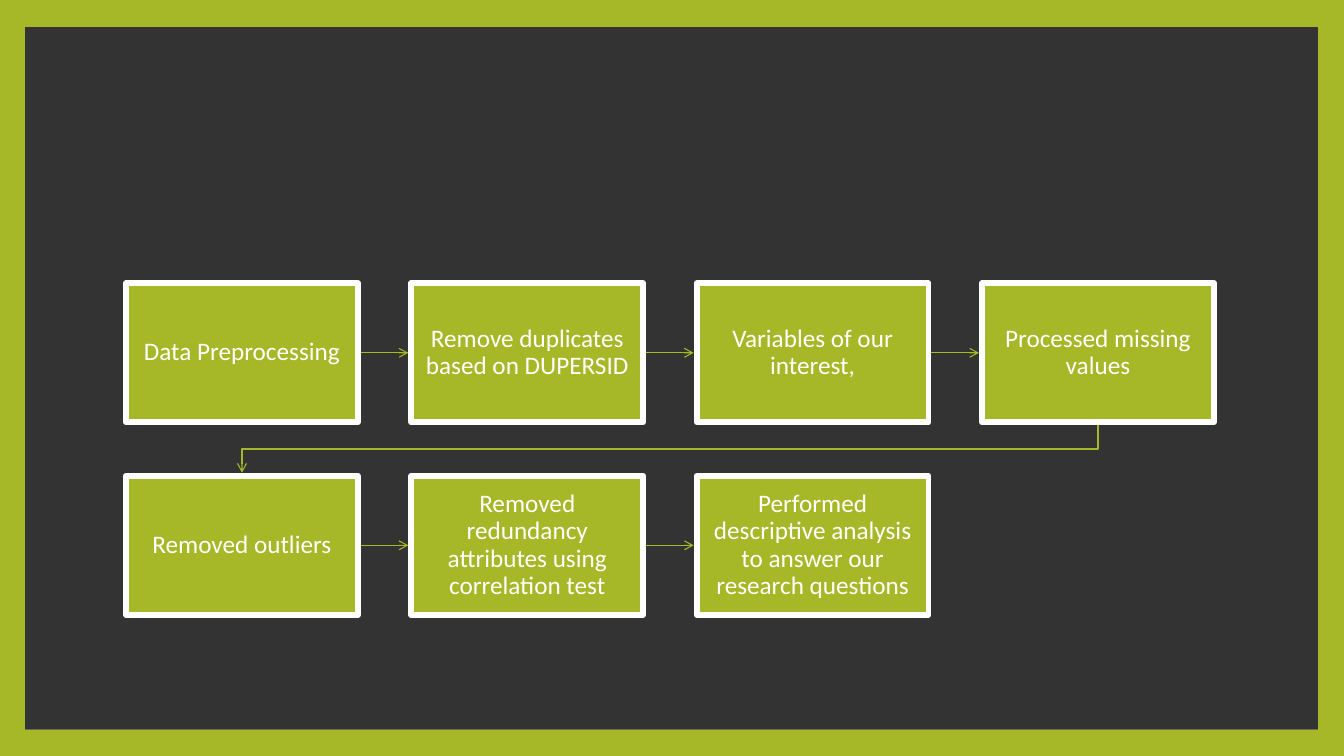
from lxml.etree import SubElement
from pptx import Presentation
from pptx.dml.color import RGBColor
from pptx.enum.shapes import MSO_CONNECTOR, MSO_SHAPE
from pptx.enum.text import MSO_ANCHOR, PP_ALIGN
from pptx.oxml.ns import qn
from pptx.util import Inches, Pt

LIME, WHITE, BLACK = "A6B727", "FFFFFF", "000000"
LEFT, TOP, WIDTH, HEIGHT = 1.25, 2.81, 2.3, 1.38
COLUMN_PITCH, ROW_PITCH, COLUMNS = 2.83, 1.91, 4
ARROW_LENGTH = 0.5
PANEL = (0.25, 0.27, 12.82, 6.97)
STEPS = [
    "Data Preprocessing",
    "Remove duplicates based on DUPERSID",
    "Variables of our interest,",
    "Processed missing values",
    "Removed outliers",
    "Removed redundancy attributes using correlation test",
    "Performed descriptive analysis to answer our research questions",
]


def paint(color_format, hex_color):
    color_format.rgb = RGBColor.from_string(hex_color)


def apply(target, values):
    for name, value in values.items():
        setattr(target, name, value)


class FlowSlide:
    frame_format = {
        "word_wrap": True,
        "vertical_anchor": MSO_ANCHOR.MIDDLE,
        "margin_left": Inches(0.11),
        "margin_right": Inches(0.11),
        "margin_top": Inches(0.12),
        "margin_bottom": Inches(0.12),
    }
    paragraph_format = {"alignment": PP_ALIGN.CENTER, "line_spacing": 0.9}
    font_format = {"name": "Calibri", "size": Pt(18)}

    def __init__(self, deck):
        self.slide = deck.slides.add_slide(deck.slide_layouts[6])
        self.shapes = self.slide.shapes
        background = self.slide.background.fill
        background.solid()
        paint(background.fore_color, LIME)

    def rectangle(self, place, color):
        shape = self.shapes.add_shape(MSO_SHAPE.RECTANGLE, *map(Inches, place))
        shape.shadow.inherit = False
        shape.fill.solid()
        paint(shape.fill.fore_color, color)
        shape.line.fill.background()
        return shape

    def veil(self, place, color, opacity):
        shape = self.rectangle(place, color)
        rgb = shape._element.spPr.find(qn("a:solidFill"))[0]
        SubElement(rgb, qn("a:alpha"), val=str(opacity * 1000))

    def step(self, x, y, wording):
        box = self.rectangle((x, y, WIDTH, HEIGHT), LIME)
        paint(box.line.color, WHITE)
        box.line.width = Pt(4.25)
        apply(box.text_frame, self.frame_format)
        paragraph = box.text_frame.paragraphs[0]
        paragraph.text = wording
        apply(paragraph, self.paragraph_format)
        apply(paragraph.font, self.font_format)
        paint(paragraph.font.color, WHITE)
        return box

    def arrow_style(self, arrow):
        paint(arrow.line.color, LIME)
        arrow.line.width = Pt(0.79)
        SubElement(arrow.line._get_or_add_ln(), qn("a:tailEnd"), type="arrow")

    def arrow_right(self, x, y, source):
        arrow = self.shapes.add_connector(
            MSO_CONNECTOR.STRAIGHT,
            *map(Inches, (x, y, x + ARROW_LENGTH, y)),
        )
        arrow.begin_connect(source, 3)
        self.arrow_style(arrow)
        SubElement(arrow._element.spPr, qn("a:effectLst"))
        source._element.addprevious(arrow._element)

    def arrow_to_next_row(self, points, source):
        start, *others = [tuple(map(Inches, point)) for point in points]
        builder = self.shapes.build_freeform(*start)
        builder.add_line_segments(others, close=False)
        arrow = builder.convert_to_shape()
        arrow.fill.background()
        self.arrow_style(arrow)
        arrow.shadow.inherit = False
        source._element.addprevious(arrow._element)


def main():
    deck = Presentation()
    deck.slide_width, deck.slide_height = Inches(13.33), Inches(7.5)
    flow = FlowSlide(deck)
    flow.rectangle(PANEL, WHITE)
    flow.veil(PANEL, BLACK, 80)

    for index, wording in enumerate(STEPS):
        row, column = divmod(index, COLUMNS)
        x, y = LEFT + column * COLUMN_PITCH, TOP + row * ROW_PITCH
        step = flow.step(x, y, wording)
        if index == len(STEPS) - 1:
            continue
        if column < COLUMNS - 1:
            flow.arrow_right(x + WIDTH, y + HEIGHT / 2, step)
        else:
            start_x, end_x = x + WIDTH / 2, LEFT + WIDTH / 2
            bottom = y + HEIGHT
            turn = (y + ROW_PITCH + bottom) / 2
            flow.arrow_to_next_row(
                [(start_x, bottom), (start_x, turn), (end_x, turn),
                 (end_x, bottom + ARROW_LENGTH)],
                step,
            )
    deck.save("out.pptx")


if __name__ == "__main__":
    main()
